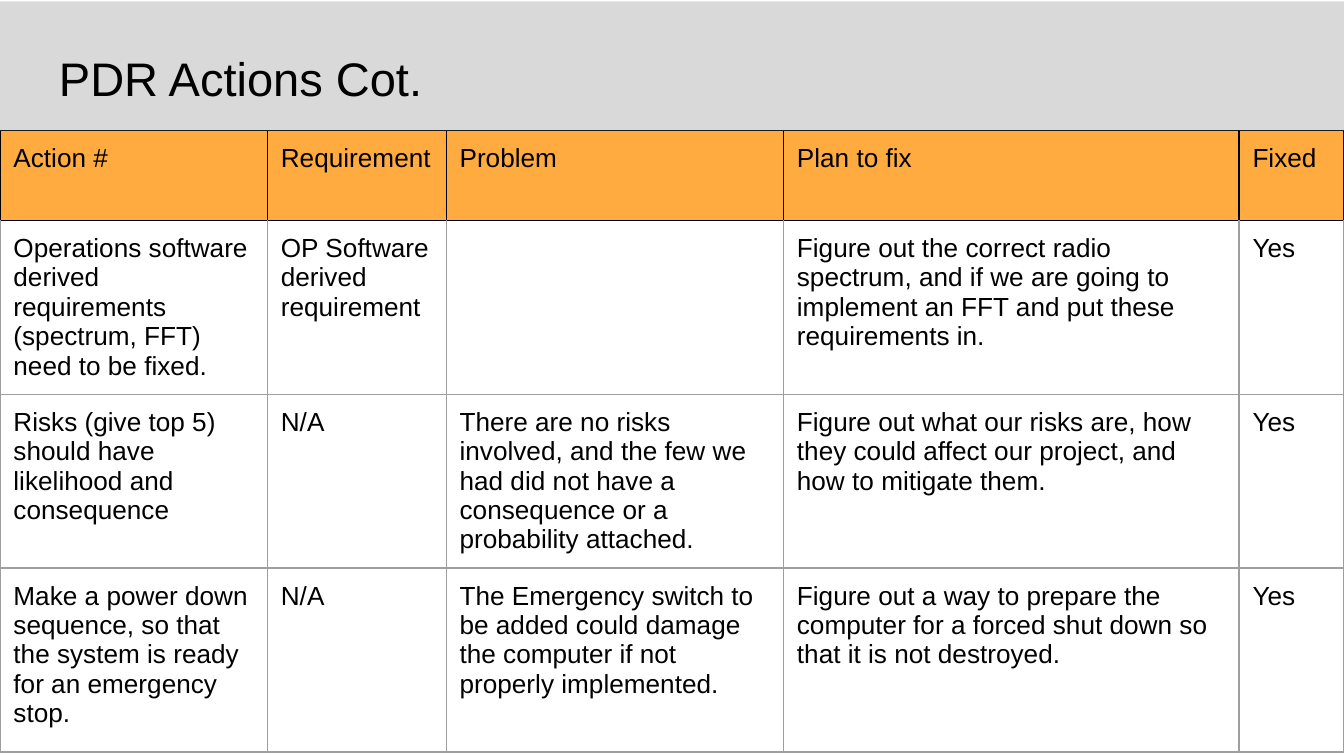
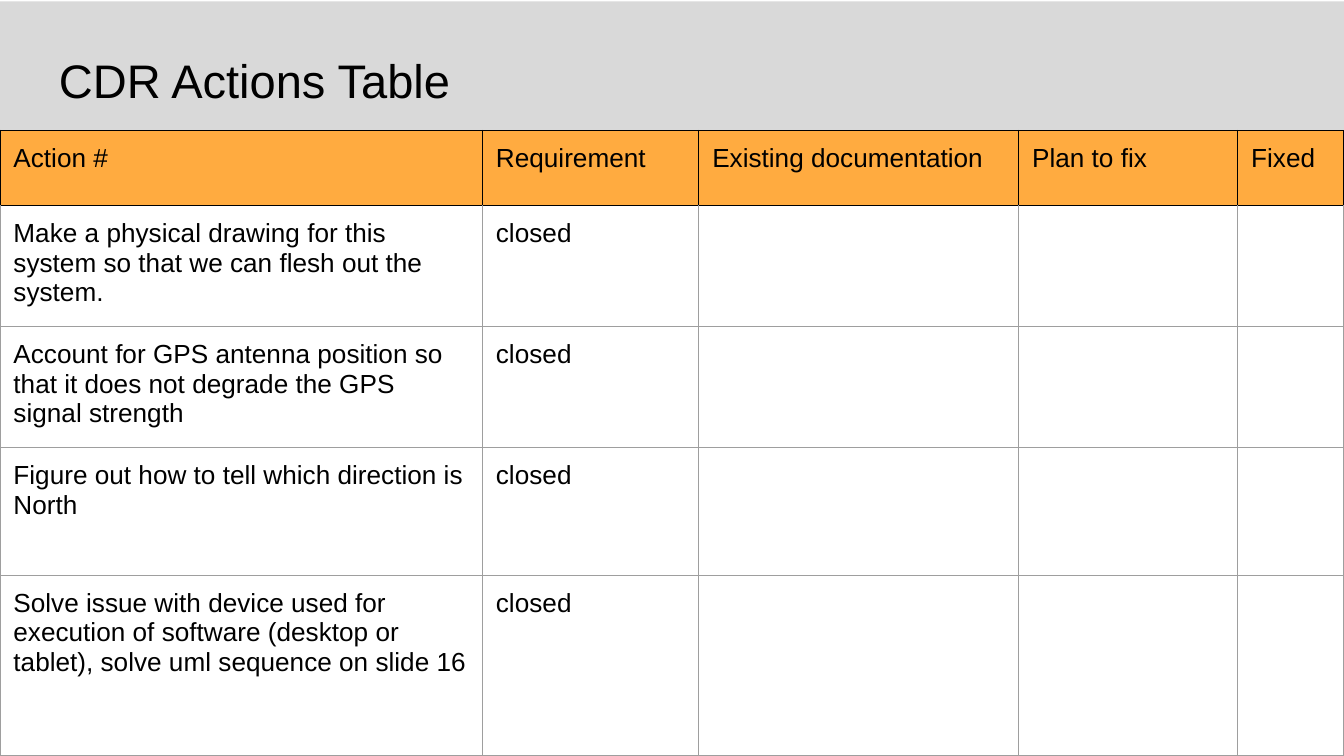
from dataclasses import dataclass

from lxml.etree import SubElement
from pptx import Presentation
from pptx.dml.color import RGBColor as Rgb
from pptx.enum.shapes import MSO_SHAPE as Preset
from pptx.enum.text import MSO_ANCHOR as Anchor
from pptx.oxml.ns import qn
from pptx.util import Inches, Pt


@dataclass(frozen=True)
class Theme:
    font: str = "Arial"
    ink: str = "000000"
    band: str = "D9D9D9"
    header: str = "FFAB40"
    rule: str = "9E9E9E"
    title_size: float = 25.2
    body_size: float = 14
    rule_width: float = 0.75
    inset: float = 0.1
    width: float = 10
    height: float = 10 * 9 / 16
    band_top: float = 0.01
    band_height: float = 0.96
    title_left: float = 0.34
    title_height: float = 0.63


THEME = Theme()

PDR_COLUMNS = [1.99, 1.33, 2.51, 3.39, 0.78]
PDR_ROWS = [0.67, 0.87, 0.43, 1.37]
PDR_ACTIONS = [
    ["Action #", "Requirement", "Problem", "Plan to fix", "Fixed"],
    [
        "Operations software derived requirements (spectrum, FFT) need to be fixed.",
        "OP Software derived requirement",
        "",
        "Figure out the correct radio spectrum, and if we are going to implement "
        "an FFT and put these requirements in.",
        "Yes",
    ],
    [
        "Risks (give top 5) should have likelihood and consequence",
        "N/A",
        "There are no risks involved, and the few we had did not have a "
        "consequence or a probability attached.",
        "Figure out what our risks are, how they could affect our project, "
        "and how to mitigate them.",
        "Yes",
    ],
    [
        "Make a power down sequence, so that the system is ready for an emergency stop.",
        "N/A",
        "The Emergency switch to be added could damage the computer if not "
        "properly implemented.",
        "Figure out a way to prepare the computer for a forced shut down so "
        "that it is not destroyed.",
        "Yes",
    ],
]

CDR_COLUMNS = [3.59, 1.61, 2.38, 1.63, 0.79]
CDR_ROWS = [0.56, 0.82, 0.82, 0.95, 1.34]
CDR_HEADINGS = ["Action #", "Requirement", "Existing documentation", "Plan to fix", "Fixed"]
CDR_CLOSED = [
    "Make a physical drawing for this system so that we can flesh out the system.",
    "Account for GPS antenna position so that it does not degrade the GPS signal strength",
    "Figure out how to tell which direction is North",
    "Solve issue with device used for execution of software (desktop or tablet), "
    "solve uml sequence on slide 16",
]
CDR_ACTIONS = [CDR_HEADINGS] + [[action, "closed", "", "", ""] for action in CDR_CLOSED]


def write(frame, wording, size):
    run = frame.paragraphs[0].add_run()
    run.text = wording
    run.font.name = THEME.font
    run.font.size = Pt(size)
    run.font.color.rgb = Rgb.from_string(THEME.ink)


def set_insets(holder):
    holder.margin_left = holder.margin_right = Inches(THEME.inset)
    holder.margin_top = holder.margin_bottom = Inches(THEME.inset)


def add_band(slide):
    band = slide.shapes.add_shape(
        Preset.RECTANGLE, 0, Inches(THEME.band_top),
        Inches(THEME.width), Inches(THEME.band_height))
    band.shadow.inherit = False
    band.fill.solid()
    band.fill.fore_color.rgb = Rgb.from_string(THEME.band)
    band.line.fill.background()


def add_title(slide, wording, top):
    title = slide.shapes.add_textbox(
        Inches(THEME.title_left), Inches(top),
        Inches(THEME.width - 2 * THEME.title_left), Inches(THEME.title_height))
    frame = title.text_frame
    frame.word_wrap = True
    frame.vertical_anchor = Anchor.MIDDLE
    set_insets(frame)
    write(frame, wording, THEME.title_size)


def rule_cell(cell, colours):
    properties = cell._tc.get_or_add_tcPr()
    for position, (side, colour) in enumerate(colours.items()):
        edge = SubElement(properties, qn(f"a:{side}"), w=str(Pt(THEME.rule_width)))
        fill = SubElement(edge, qn("a:solidFill"))
        SubElement(fill, qn("a:srgbClr"), val=colour)
        properties.insert(position, edge)


def style_cell(cell, row):
    side = THEME.rule if row else THEME.ink
    top = THEME.rule if row > 1 else THEME.ink
    if row:
        cell.fill.background()
    else:
        cell.fill.solid()
        cell.fill.fore_color.rgb = Rgb.from_string(THEME.header)
    set_insets(cell)
    rule_cell(cell, {"lnL": side, "lnR": side, "lnT": top, "lnB": side})


def add_actions(slide, actions, columns, rows):
    table = slide.shapes.add_table(
        len(rows), len(columns), 0, Inches(THEME.band_top + THEME.band_height),
        Inches(sum(columns)), Inches(sum(rows))).table
    table.first_row = table.horz_banding = False
    for column, width in zip(table.columns, columns):
        column.width = Inches(width)
    for row, height in zip(table.rows, rows):
        row.height = Inches(height)
    for r, entries in enumerate(actions):
        for c, wording in enumerate(entries):
            cell = table.cell(r, c)
            style_cell(cell, r)
            if wording:
                write(cell.text_frame, wording, THEME.body_size)


def main():
    deck = Presentation()
    deck.slide_width = Inches(THEME.width)
    deck.slide_height = Inches(THEME.height)
    blank = deck.slide_layouts[6]

    pdr = deck.slides.add_slide(blank)
    add_actions(pdr, PDR_ACTIONS, PDR_COLUMNS, PDR_ROWS)
    add_band(pdr)
    add_title(pdr, "PDR Actions Cot.", 0.26)

    cdr = deck.slides.add_slide(blank)
    add_band(cdr)
    add_title(cdr, "CDR Actions Table", 0.28)
    add_actions(cdr, CDR_ACTIONS, CDR_COLUMNS, CDR_ROWS)

    deck.save("out.pptx")


if __name__ == "__main__":
    main()
